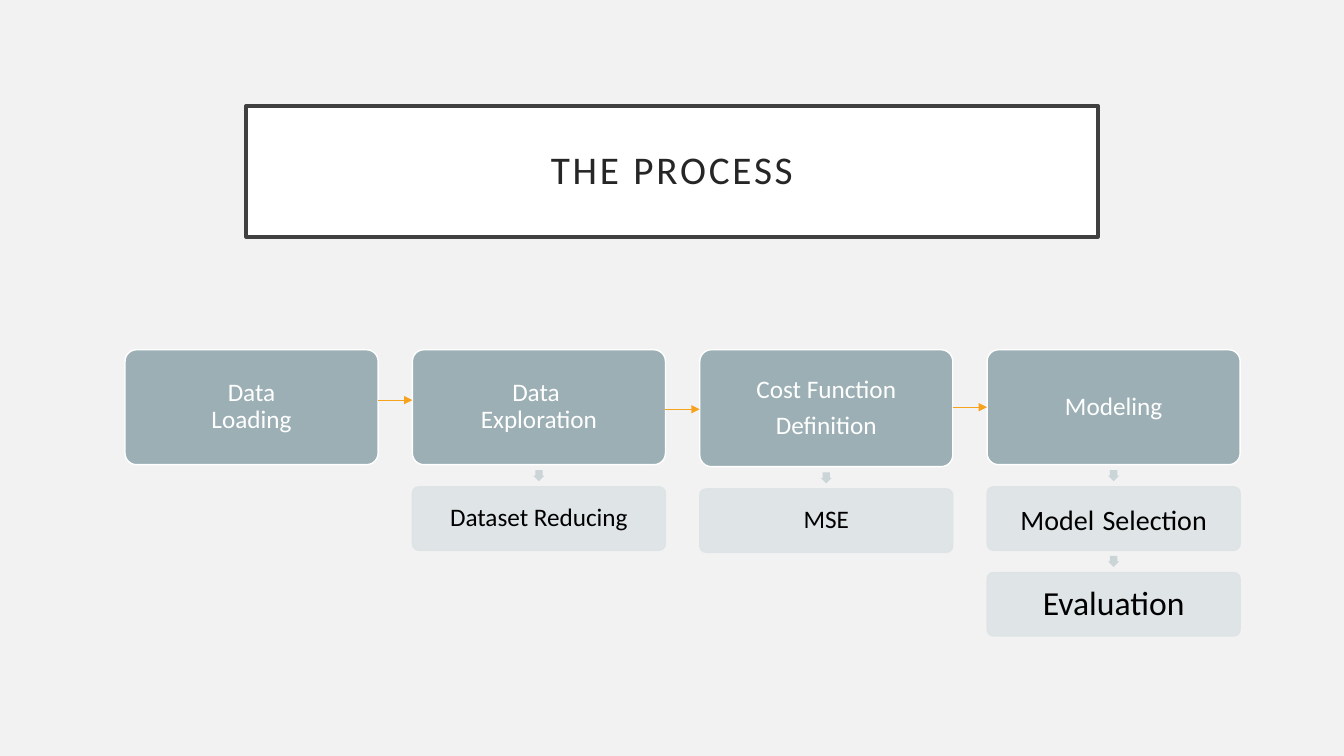
import pptx
import pptx.util
import pptx.dml.color
import pptx.enum.shapes
import pptx.enum.text
import pptx.oxml.ns
from lxml import etree

SLIDE_W, SLIDE_H = 13.33, 7.5
FONT = "Calibri"
TITLE = "THE PROCESS"

# Each stage: heading paragraphs, heading height, steps below it.
# Each step is a list of (text, size) runs.
STAGES = [
    (["Data\vLoading"], 1.14, []),
    (["Data \vExploration"], 1.14, [[("Dataset Reducing", 18)]]),
    (["Cost Function", "Definition"], 1.16, [[("MSE", 18)]]),
    (["Modeling"], 1.14, [[("Model", 20), (" ", 26), ("Selection", 20)],
                          [("Evaluation", 24)]]),
]
LINK_Y = [3.97, 4.06, 4.04]

LEFT, TOP = 1.24, 3.47
BOX_W, STEP_H = 2.51, 0.63
COLUMN_GAP, STEP_GAP = 0.34, 0.22
COLUMN = BOX_W + COLUMN_GAP
ARROW = 0.11

KINDS = pptx.enum.shapes.MSO_SHAPE
inch = pptx.util.Inches


def rgb(hex_color):
    return pptx.dml.color.RGBColor.from_string(hex_color)


def add_sub(parent, tag, **attributes):
    return etree.SubElement(parent, pptx.oxml.ns.qn(tag), attributes)


def add_box(kind, left, top, width, height, fill, line=None, line_width=1):
    box = slide.shapes.add_shape(kind, inch(left), inch(top), inch(width), inch(height))
    box.shadow.inherit = False
    box.fill.solid()
    box.fill.fore_color.rgb = rgb(fill)
    if line:
        box.line.color.rgb = rgb(line)
        box.line.width = pptx.util.Pt(line_width)
    else:
        box.line.fill.background()
    return box


def write(box, paragraphs, color, margin, space_after=0):
    """Fill a box with centred paragraphs, each a list of (text, size) runs."""
    frame = box.text_frame
    frame.word_wrap = True
    frame.vertical_anchor = pptx.enum.text.MSO_ANCHOR.MIDDLE
    frame.margin_left = frame.margin_right = inch(margin)
    frame.margin_top = frame.margin_bottom = inch(margin)
    for index, runs in enumerate(paragraphs):
        paragraph = frame.add_paragraph() if index else frame.paragraphs[0]
        paragraph.alignment = pptx.enum.text.PP_ALIGN.CENTER
        paragraph.line_spacing = 0.9
        paragraph.space_after = pptx.util.Pt(space_after)
        paragraph.font.name = FONT
        paragraph.font.color.rgb = rgb(color)
        paragraph.font.size = pptx.util.Pt(runs[0][1])
        for text, size in runs:
            for number, line in enumerate(text.split("\v")):
                if number:
                    paragraph.add_line_break()
                run = paragraph.add_run()
                run.text = line
                run.font.name = FONT
                run.font.size = pptx.util.Pt(size)
                run.font.color.rgb = rgb(color)


def add_stage(left, heading, heading_height, steps):
    box = add_box(KINDS.ROUNDED_RECTANGLE, left, TOP, BOX_W, heading_height,
                  "9BAFB5", "FFFFFF")
    box.adjustments[0] = 0.1
    write(box, [[(text, 18)] for text in heading], "FFFFFF", 0.06, 6.3)
    bottom = TOP + heading_height
    for runs in steps:
        arrow = add_box(KINDS.RIGHT_ARROW, left + (BOX_W - ARROW) / 2,
                        bottom + (STEP_GAP - ARROW) / 2, ARROW, ARROW, "CBD4D7")
        arrow.rotation = 90
        arrow.adjustments[0] = 0.67
        step = add_box(KINDS.ROUNDED_RECTANGLE, left, bottom + STEP_GAP,
                       BOX_W, STEP_H, "DEE3E5", "DEE3E5")
        step.adjustments[0] = 0.1
        for color in step._element.spPr.iter(pptx.oxml.ns.qn("a:srgbClr")):
            add_sub(color, "a:alpha", val="90000")
        write(step, [runs], "000000", 0.05, 6.3)
        bottom += STEP_GAP + STEP_H


def add_link(left, y):
    link = slide.shapes.add_connector(
        pptx.enum.shapes.MSO_CONNECTOR.STRAIGHT,
        inch(left), inch(y), inch(left + COLUMN_GAP), inch(y))
    link.line.color.rgb = rgb("F6A21D")
    link.line.width = pptx.util.Pt(0.5)
    add_sub(link.line._get_or_add_ln(), "a:tailEnd", type="triangle")
    add_sub(link._element.spPr, "a:effectLst")


deck = pptx.Presentation()
deck.slide_width, deck.slide_height = inch(SLIDE_W), inch(SLIDE_H)
slide = deck.slides.add_slide(deck.slide_layouts[6])
slide.background.fill.solid()
slide.background.fill.fore_color.rgb = rgb("F2F2F2")

title_width = 8.45
title = add_box(KINDS.RECTANGLE, (SLIDE_W - title_width) / 2, 1.05, title_width, 1.3,
                "FFFFFF", "404040", 2.5)
write(title, [[(TITLE, 28)]], "262626", 0.2)
title.text_frame.paragraphs[0].runs[0]._r.get_or_add_rPr().set("spc", "200")

for position, stage in enumerate(STAGES):
    add_stage(LEFT + position * COLUMN, *stage)
for position, y in enumerate(LINK_Y):
    add_link(LEFT + position * COLUMN + BOX_W, y)

deck.save("out.pptx")
